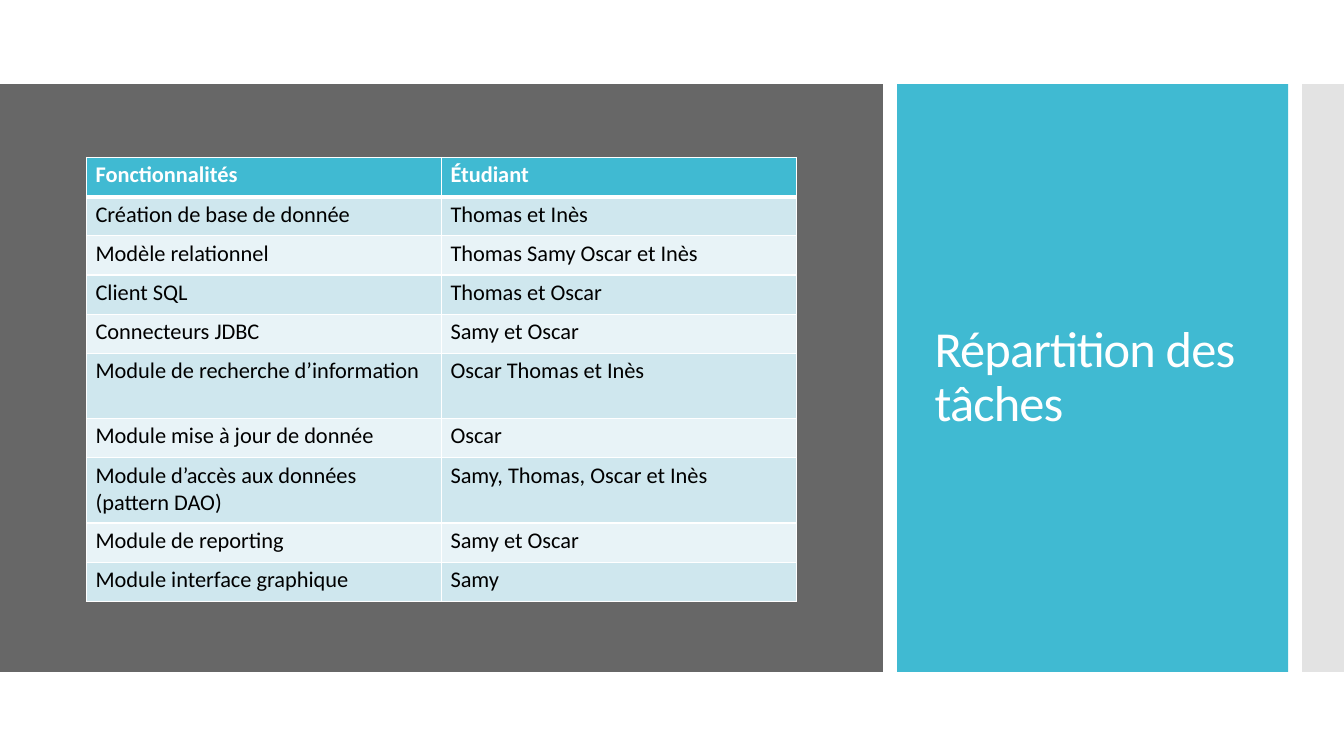
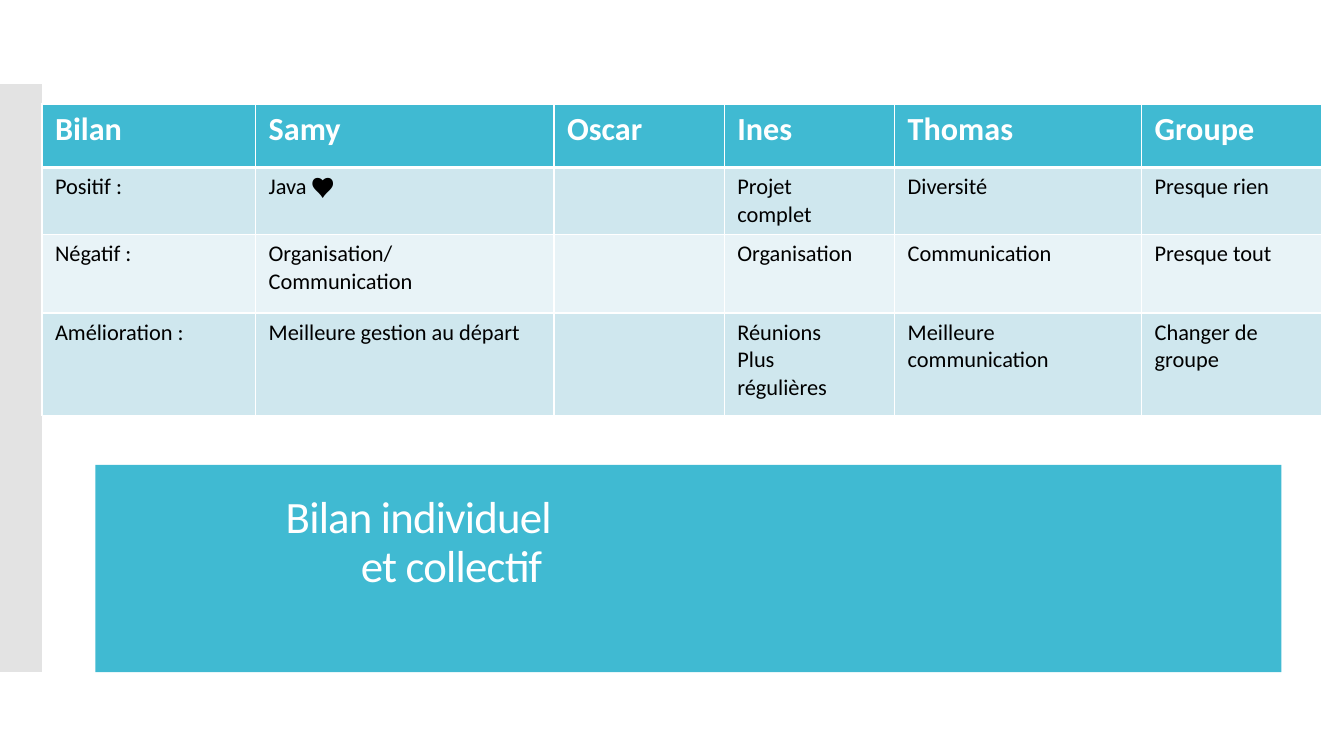
from collections import namedtuple
from lxml.etree import SubElement
from pptx import Presentation
from pptx.dml.color import RGBColor
from pptx.enum.shapes import MSO_SHAPE as Preset
from pptx.enum.text import MSO_ANCHOR as Anchor, PP_ALIGN as Align
from pptx.oxml import parse_xml
from pptx.oxml.ns import nsdecls, qn
from pptx.util import Inches, Pt

FONT = "Calibri"
ACCENT, DARK, GREY = "40BAD2", "676767", "C8C8C8"
WHITE, BLACK = "FFFFFF", "000000"
ROW_FILLS = ("E8F3F7", "CFE7EE")
BAND_TOP, BAND_HEIGHT = 100 / 9, 700 / 9
STRIP_WIDTH = 3.12


class Box(namedtuple("Box", "left top width height")):
    def inner(self, left, top, width, height):
        """Return an inner box given in percent of this one."""
        return Box(self.left + self.width * left / 100,
                   self.top + self.height * top / 100,
                   self.width * width / 100,
                   self.height * height / 100)

    def lengths(self):
        return [Inches(value) for value in self]


PAGE = Box(0, 0, 13.33, 7.5)


def rgb(color):
    return RGBColor.from_string(color)


def apply(target, values):
    for name, value in values.items():
        setattr(target, name, value)


def format_text(frame, size, color, bold=False, **paragraph_format):
    for paragraph in frame.paragraphs:
        apply(paragraph, paragraph_format)
        for run in paragraph.runs:
            apply(run.font, {"name": FONT, "size": Pt(size), "bold": bold})
            run.font.color.rgb = rgb(color)


def add_band(slide, box, color, opacity=100):
    shape = slide.shapes.add_shape(Preset.RECTANGLE, *box.lengths())
    shape.shadow.inherit = False
    shape.line.fill.background()
    shape.fill.solid()
    shape.fill.fore_color.rgb = rgb(color)
    if opacity < 100:
        fill_color = shape.element.spPr.find(qn("a:solidFill"))[0]
        SubElement(fill_color, qn("a:alpha")).set("val", str(opacity * 1000))


def add_side_strip(slide, left):
    add_band(slide, PAGE.inner(left, BAND_TOP, STRIP_WIDTH, BAND_HEIGHT), GREY, 50)


def place_title(slide, text, box, size, align, bottom_inset=0.05):
    title = slide.shapes.title
    apply(title, dict(zip(("left", "top", "width", "height"), box.lengths())))
    frame = title.text_frame
    frame.text = text
    apply(frame, {"word_wrap": True, "vertical_anchor": Anchor.MIDDLE,
                  "margin_bottom": Inches(bottom_inset)})
    format_text(frame, size, WHITE, alignment=align, line_spacing=0.9)
    for run in frame.paragraphs[0].runs:
        run.font._element.set("spc", "-60")
    title.element.getparent().append(title.element)  # in front of the bands


def set_borders(cell, **widths):
    properties = cell._tc.get_or_add_tcPr()
    for index, side in enumerate("LRTB"):
        width = Pt(widths.get(side, 1))
        properties.insert(index, parse_xml(
            f'<a:ln{side} {nsdecls("a")} w="{width}"><a:solidFill>'
            f'<a:srgbClr val="{WHITE}"/></a:solidFill></a:ln{side}>'))


def share_out(total, weights):
    return [Inches(total * weight / sum(weights)) for weight in weights]


def add_grid(slide, box, rows, columns, heights, head_size, insets):
    """Place a table whose columns and rows share the box by weight."""
    table = slide.shapes.add_table(len(rows), len(columns), *box.lengths()).table
    for column, width in zip(table.columns, share_out(box.width, columns)):
        column.width = width
    for row, height in zip(table.rows, share_out(box.height, heights)):
        row.height = height
    across, down = map(Inches, insets)
    margins = {"margin_left": across, "margin_right": across,
               "margin_top": down, "margin_bottom": down}
    for number, texts in enumerate(rows):
        head = number == 0
        for cell, text in zip(table.rows[number].cells, texts):
            cell.text = text
            apply(cell, margins)
            cell.fill.solid()
            cell.fill.fore_color.rgb = rgb(ACCENT if head else ROW_FILLS[number % 2])
            set_borders(cell, T=3 if number == 1 else 1, B=3 if head else 1)
            format_text(cell.text_frame, head_size if head else 16,
                        WHITE if head else BLACK, bold=head)


def build_tasks(slide):
    table_area = PAGE.inner(0, BAND_TOP, 65.7, BAND_HEIGHT)
    panel = PAGE.inner(66.75, BAND_TOP, 29.1, BAND_HEIGHT)
    add_band(slide, table_area, DARK)
    add_band(slide, panel, ACCENT)
    add_side_strip(slide, 100 - STRIP_WIDTH)
    place_title(slide, "Répartition des tâches", panel.inner(7, 7, 83, 86),
                36, Align.LEFT)
    rows = [
        ("Fonctionnalités", "Étudiant"),
        ("Création de base de donnée", "Thomas et Inès"),
        ("Modèle relationnel", "Thomas Samy Oscar et Inès"),
        ("Client SQL", "Thomas et Oscar"),
        ("Connecteurs JDBC", "Samy et Oscar"),
        ("Module de recherche d’information", "Oscar Thomas et Inès"),
        ("Module mise à jour de donnée", "Oscar"),
        ("Module d’accès aux données (pattern DAO)", "Samy, Thomas, Oscar et Inès"),
        ("Module de reporting", "Samy et Oscar"),
        ("Module interface graphique", "Samy"),
    ]
    add_grid(slide, table_area.inner(9.8, 12.5, 80.4, 75.5), rows, (1, 1),
             (3, 3, 3, 3, 3, 5, 3, 5, 3, 3), 16, (0.09, 0.04))


def build_review(slide):
    panel = PAGE.inner(7.1, 61.5, 88.25, 27.4)
    add_band(slide, panel, ACCENT)
    add_side_strip(slide, 0)
    place_title(slide, "Bilan individuel\vet collectif ", panel.inner(1.5, 9, 37.8, 81),
                32, Align.RIGHT, bottom_inset=0.53)
    rows = [
        ("Bilan", "Samy", "Oscar", "Ines", "Thomas", "Groupe"),
        ("Positif :", "Java ♥", "", "Projet\ncomplet", "Diversité", "Presque rien"),
        ("Négatif :", "Organisation/\nCommunication", "", "Organisation",
         "Communication", "Presque tout"),
        ("Amélioration :", "Meilleure gestion au départ", "",
         "Réunions\nPlus\nrégulières", "Meilleure\ncommunication", "Changer de groupe"),
    ]
    add_grid(slide, PAGE.inner(STRIP_WIDTH, 13.75, 95.25, 41.1), rows,
             (2.12, 2.96, 1.69, 1.69, 2.45, 1.79), (0.63, 0.65, 0.78, 1.02),
             23, (0.13, 0.06))


def main():
    presentation = Presentation()
    apply(presentation, {"slide_width": Inches(PAGE.width),
                         "slide_height": Inches(PAGE.height)})
    title_only = presentation.slide_layouts[5]
    for build in (build_tasks, build_review):
        build(presentation.slides.add_slide(title_only))
    presentation.save("out.pptx")


if __name__ == "__main__":
    main()
